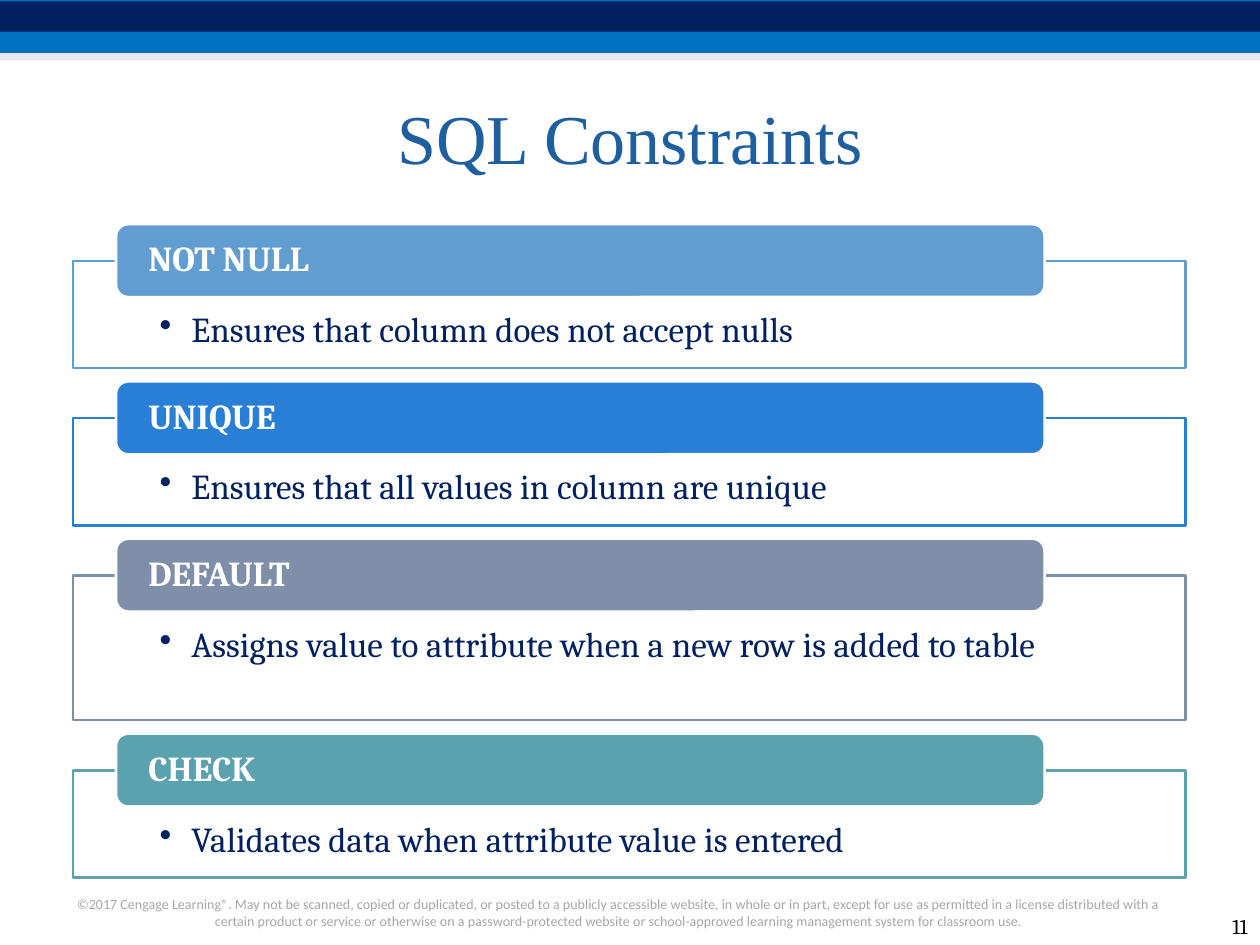
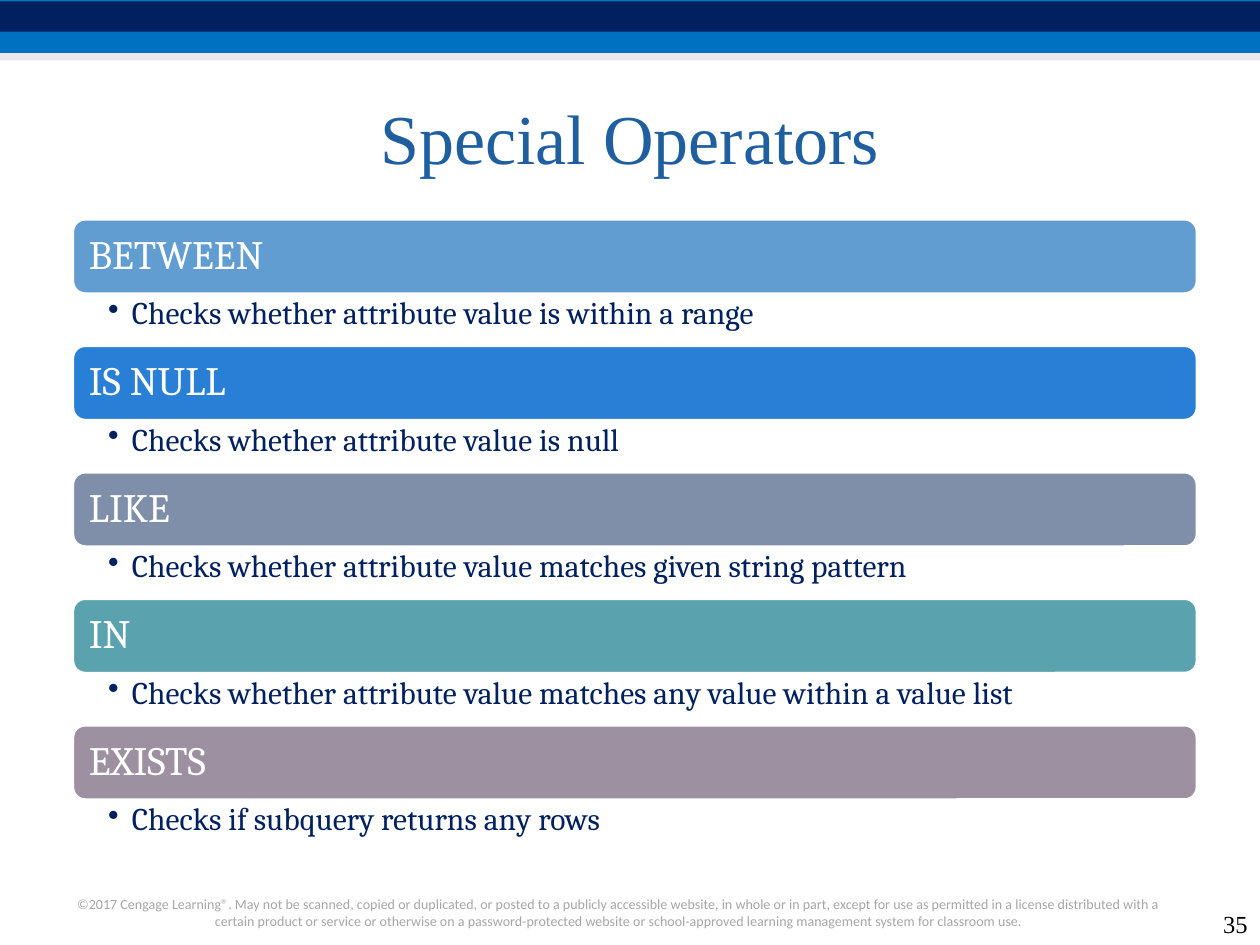
"""Build two slides on SQL constraints and special operators."""
from itertools import accumulate

from lxml.etree import SubElement
from pptx import Presentation
from pptx.dml.color import RGBColor
from pptx.enum.shapes import MSO_SHAPE as Shape
from pptx.enum.text import MSO_ANCHOR as Anchor, PP_ALIGN as Align
from pptx.oxml.ns import qn
from pptx.util import Cm, Pt

CONSTRAINTS = [
    ("NOT NULL", "Ensures that column does not accept nulls", 2.16),
    ("UNIQUE", "Ensures that all values in column are unique", 2.16),
    ("DEFAULT", "Assigns value to attribute when a new row is added to table", 2.92),
    ("CHECK", "Validates data when attribute value is entered", 2.16),
]
OPERATORS = [
    ("BETWEEN", "Checks whether attribute value is within a range"),
    ("IS NULL", "Checks whether attribute value is null"),
    ("LIKE", "Checks whether attribute value matches given string pattern"),
    ("IN", "Checks whether attribute value matches any value within a value list"),
    ("EXISTS", "Checks if subquery returns any rows"),
]
COPYRIGHT = (
    "©2017 Cengage Learning®. May not be scanned, copied or duplicated, or posted to a "
    "publicly accessible website, in whole or in part, except for use as permitted in a "
    "license distributed with a certain product or service or otherwise on a "
    "password-protected website or school-approved learning management system for "
    "classroom use."
)
ACCENTS = ["629DD1", "297FD5", "7F8FA9", "5AA2AE", "9D90A0"]
NAVY, BLUE, MIST, WHITE, BLACK = "002060", "0070C0", "D8D3D9", "FFFFFF", "000000"
TITLE_BLUE, GREY = "1F5FA0", "A6A6A6"
SERIF, TITLE_FONT, SANS = "Cambria", "Times New Roman", "Calibri"
BANDS = [(0, 1.07, BLUE, 100), (0.03, 0.61, NAVY, 100), (1.07, 0.15, MIST, 50)]
SLIDE_WIDTH, SLIDE_HEIGHT = 25.4, 19.05
LIST_LEFT = 1.47


def rgb(color):
    return RGBColor.from_string(color)


def add_block(slide, kind, place, fill, line=None, opacity=100):
    shape = slide.shapes.add_shape(kind, *map(Cm, place))
    shape.shadow.inherit = False
    shape.fill.solid()
    shape.fill.fore_color.rgb = rgb(fill)
    if opacity < 100:
        color = shape.fill._xPr.find(qn("a:solidFill"))[0]
        SubElement(color, qn("a:alpha"), val=str(opacity * 1000))
    if line:
        shape.line.color.rgb = rgb(line)
        shape.line.width = Pt(1.5)
    else:
        shape.line.fill.background()
    return shape


def write(shape, text, size, color, font=SERIF, align=Align.LEFT, anchor=Anchor.TOP,
          insets=(0.25, 0.13, 0.25, 0.13), bold=False, spacing=None, indent=None):
    frame = shape.text_frame
    frame.word_wrap = True
    frame.vertical_anchor = anchor
    (frame.margin_left, frame.margin_top,
     frame.margin_right, frame.margin_bottom) = map(Cm, insets)
    paragraph = frame.paragraphs[0]
    paragraph.alignment = align
    if indent:
        properties = paragraph._p.get_or_add_pPr()
        properties.set("marL", str(Cm(indent)))
        properties.set("indent", str(-Cm(indent)))
        SubElement(properties, qn("a:buChar"), char="•")
    if spacing:
        paragraph.line_spacing = spacing
    run = paragraph.add_run()
    run.text = text
    run.font.name = font
    run.font.size = Pt(size)
    run.font.bold = bold
    run.font.color.rgb = rgb(color)


def add_text(slide, place, *content, **style):
    write(slide.shapes.add_textbox(*map(Cm, place)), *content, **style)


def add_base(presentation, title, number, number_size, number_font):
    slide = presentation.slides.add_slide(presentation.slide_layouts[6])
    for top, height, color, opacity in BANDS:
        add_block(slide, Shape.RECTANGLE, (0, top, SLIDE_WIDTH, height), color,
                  opacity=opacity)
    add_text(slide, (1.27, 17.93, 22.43, 0.94), COPYRIGHT, 8, GREY, SANS, Align.CENTER)
    add_text(slide, (1.27, 1.27, 22.86, 2.97), title, 40, TITLE_BLUE, TITLE_FONT,
             Align.CENTER, Anchor.MIDDLE)
    add_text(slide, (24.13, 18.21, 1.27, 0.84), number, number_size, BLACK,
             number_font, Align.RIGHT, Anchor.BOTTOM)
    return slide


def add_constraints(slide, first_top=5.26, gap=1.01):
    tops = accumulate((height + gap for _, _, height in CONSTRAINTS), initial=first_top)
    for (name, purpose, height), top, accent in zip(CONSTRAINTS, tops, ACCENTS):
        box = add_block(slide, Shape.RECTANGLE, (LIST_LEFT, top, 22.43, height),
                        WHITE, accent, 90)
        write(box, purpose, 20, NAVY, insets=(1.75, 1.04, 1.75, 0.41),
              spacing=0.9, indent=0.64)
        label = add_block(slide, Shape.ROUNDED_RECTANGLE,
                          (2.34, top - 0.74, 18.72, 1.47), accent, WHITE)
        write(label, name, 20, WHITE, anchor=Anchor.MIDDLE, insets=(0.58, 0, 0.58, 0),
              bold=True, spacing=0.9)


def add_operators(slide, first_top=4.42, bar_height=1.5, step=2.55, width=22.66):
    for row, ((name, purpose), accent) in enumerate(zip(OPERATORS, ACCENTS)):
        top = first_top + row * step
        bar = add_block(slide, Shape.ROUNDED_RECTANGLE,
                        (LIST_LEFT, top, width, bar_height), accent, WHITE)
        write(bar, name, 23, WHITE, anchor=Anchor.MIDDLE,
              insets=(0.25, 0.25, 0.25, 0.25), spacing=0.9)
        add_text(slide, (LIST_LEFT, top + bar_height, width, step - bar_height),
                 purpose, 18, NAVY, insets=(0.71, 0.08, 0.46, 0.08),
                 spacing=0.9, indent=0.48)


def main():
    presentation = Presentation()
    presentation.slide_width = Cm(SLIDE_WIDTH)
    presentation.slide_height = Cm(SLIDE_HEIGHT)
    add_constraints(add_base(presentation, "SQL Constraints", "11", 12, SERIF))
    add_operators(add_base(presentation, "Special Operators", "35", 14, TITLE_FONT))
    presentation.save("out.pptx")


if __name__ == "__main__":
    main()
